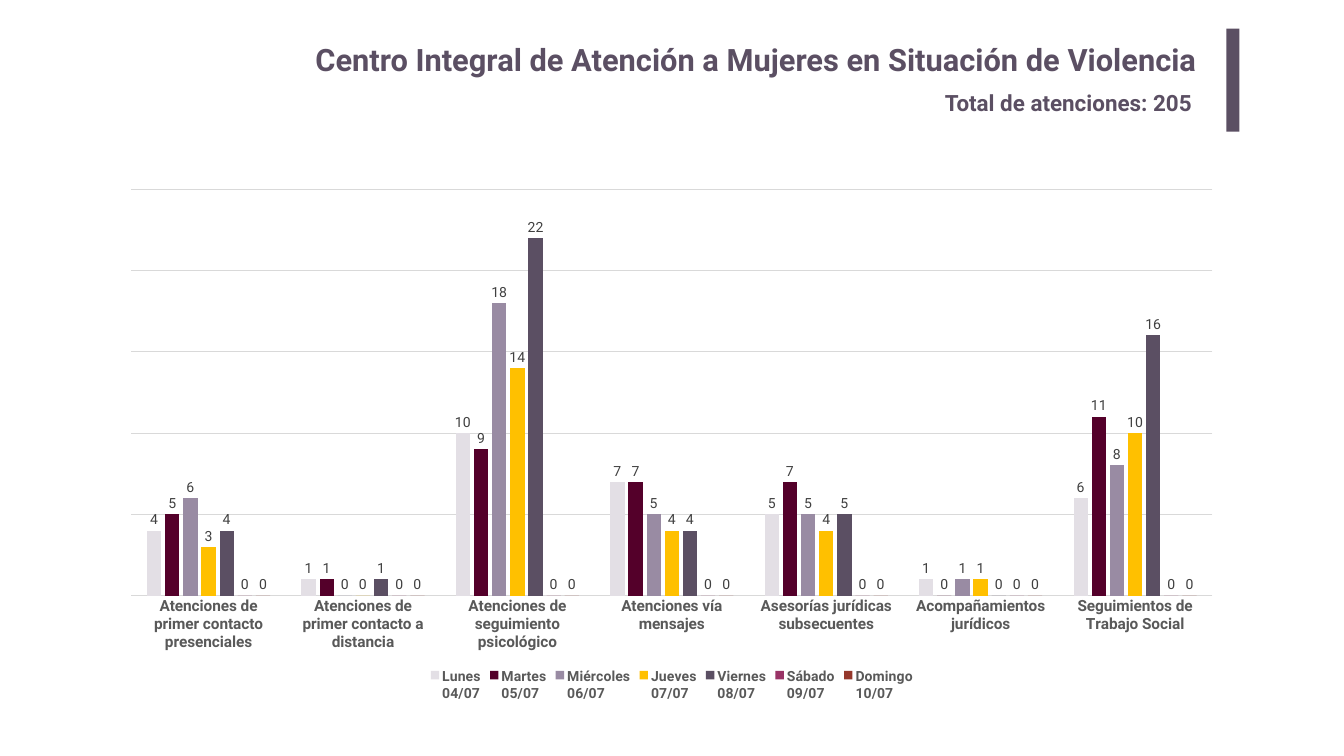
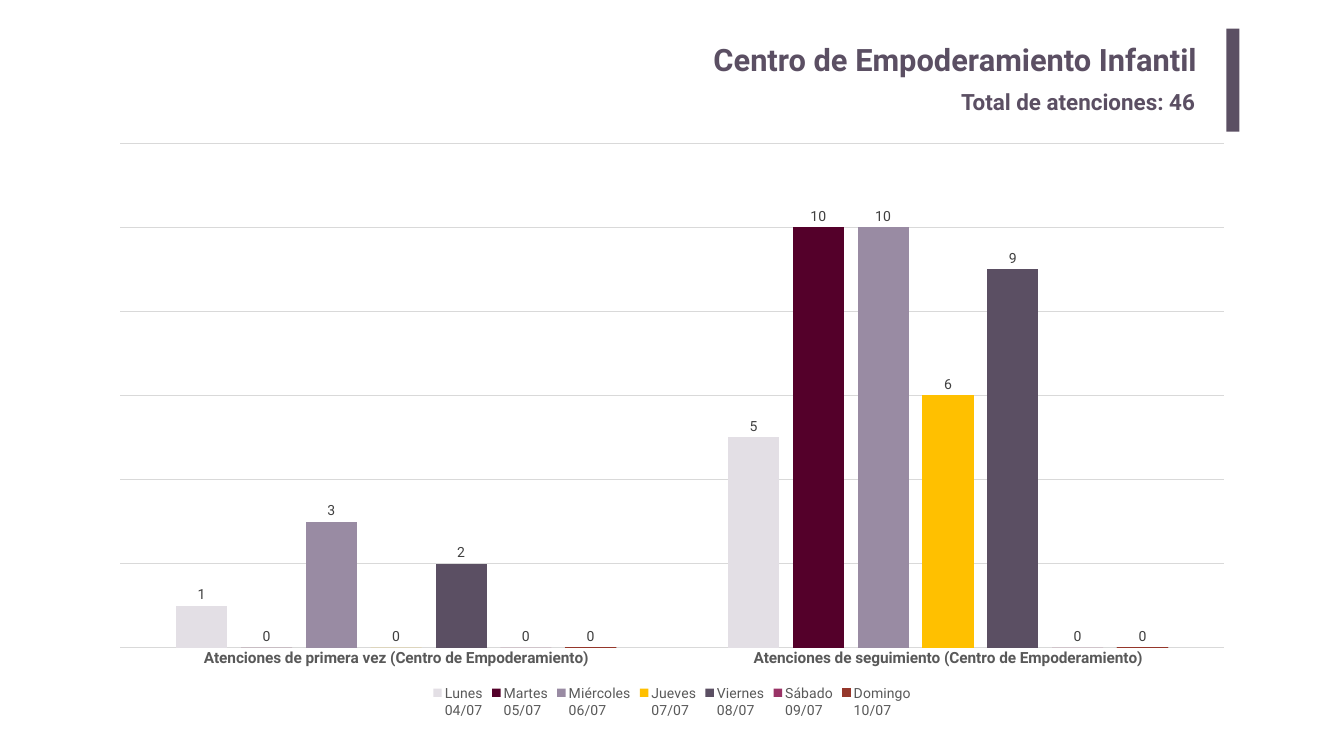
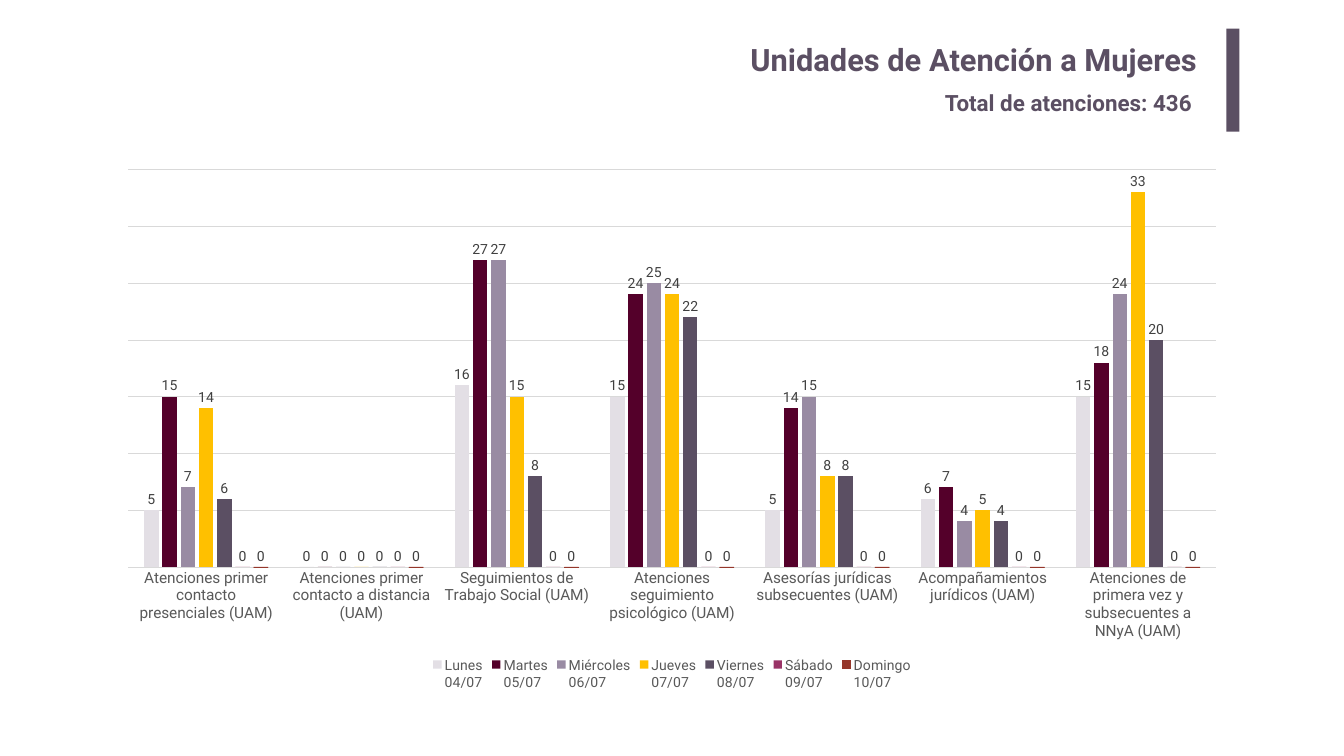
import pptx
import pptx.chart.data
import pptx.dml.color
import pptx.enum.chart
import pptx.enum.shapes
import pptx.enum.text
import pptx.util

Pt = pptx.util.Pt
RGBColor = pptx.dml.color.RGBColor

FONT = "Roboto"
PURPLE = RGBColor(0x5B, 0x4F, 0x63)
LILAC = RGBColor(0xE3, 0xDF, 0xE5)
WINE = RGBColor(0x54, 0x00, 0x2A)
MAUVE = RGBColor(0x99, 0x8B, 0xA3)
GOLD = RGBColor(0xFF, 0xC0, 0x00)
MAGENTA = RGBColor(0x99, 0x33, 0x66)
BRICK = RGBColor(0x95, 0x37, 0x2B)
AXIS_GRAY = RGBColor(0x59, 0x59, 0x59)
LABEL_GRAY = RGBColor(0x40, 0x40, 0x40)
GRID_GRAY = RGBColor(0xD9, 0xD9, 0xD9)
WHITE = RGBColor(0xFF, 0xFF, 0xFF)
BLACK = RGBColor(0, 0, 0)

DAYS = [
    ("Lunes\n04/07", LILAC),
    ("Martes\n05/07", WINE),
    ("Miércoles\n06/07", MAUVE),
    ("Jueves\n07/07", GOLD),
    ("Viernes\n08/07", PURPLE),
    ("Sábado\n09/07", MAGENTA),
    ("Domingo\n10/07", BRICK),
]
HEADING_BOX = (263.5, 41, 1507, 147)

REPORTS = [
    {
        "title": "Centro Integral de Atención a Mujeres en Situación de Violencia",
        "total": 205,
        "total_box": (1079.3, 82.1, 382.3, 46.8),
        "chart_box": (155.5, 254.9, 1608.5, 751.7),
        "scale": (25, 5),
        "bold_categories": True,
        "bold_legend": True,
        "outline_sunday": False,
        "services": {
            "Atenciones de primer contacto presenciales": (4, 5, 6, 3, 4, 0, 0),
            "Atenciones de primer contacto a distancia": (1, 1, 0, 0, 1, 0, 0),
            "Atenciones de seguimiento psicológico": (10, 9, 18, 14, 22, 0, 0),
            "Atenciones vía mensajes": (7, 7, 5, 4, 4, 0, 0),
            "Asesorías jurídicas subsecuentes": (5, 7, 5, 4, 5, 0, 0),
            "Acompañamientos jurídicos": (1, 0, 1, 1, 0, 0, 0),
            "Seguimientos de Trabajo Social": (6, 11, 8, 10, 16, 0, 0),
        },
    },
    {
        "title": "Centro de Empoderamiento Infantil",
        "total": 46,
        "total_box": (1102.3, 80.7, 363.6, 46.1),
        "chart_box": (139, 187.9, 1642.3, 843.8),
        "scale": (12, 2),
        "bold_categories": True,
        "bold_legend": False,
        "outline_sunday": True,
        "services": {
            "Atenciones de primera vez (Centro de Empoderamiento)": (1, 0, 3, 0, 2, 0, 0),
            "Atenciones de seguimiento (Centro de Empoderamiento)": (5, 10, 10, 6, 9, 0, 0),
        },
    },
    {
        "title": "Unidades de Atención a Mujeres",
        "total": 436,
        "total_box": (1079.3, 82.1, 382.3, 46.8),
        "chart_box": (151.2, 226.8, 1617.8, 764.6),
        "scale": (35, 5),
        "bold_categories": False,
        "bold_legend": False,
        "outline_sunday": True,
        "services": {
            "Atenciones primer contacto presenciales (UAM)": (5, 15, 7, 14, 6, 0, 0),
            "Atenciones primer contacto a distancia (UAM)": (0, 0, 0, 0, 0, 0, 0),
            "Seguimientos de Trabajo Social (UAM)": (16, 27, 27, 15, 8, 0, 0),
            "Atenciones seguimiento psicológico (UAM)": (15, 24, 25, 24, 22, 0, 0),
            "Asesorías jurídicas subsecuentes (UAM)": (5, 14, 15, 8, 8, 0, 0),
            "Acompañamientos jurídicos (UAM)": (6, 7, 4, 5, 4, 0, 0),
            "Atenciones de primera vez y subsecuentes a NNyA (UAM)": (15, 18, 24, 33, 20, 0, 0),
        },
    },
]


def style_font(font, size, color, bold=False):
    """Apply the shared typeface with a size, colour and weight."""
    font.name = FONT
    font.size = Pt(size)
    font.bold = bold
    font.color.rgb = color


def add_line_of_text(slide, box, text, size, inset):
    """Place one bold purple line of text and return its frame."""
    frame = slide.shapes.add_textbox(*map(Pt, box)).text_frame
    frame.word_wrap = True
    frame.margin_left = frame.margin_right = Pt(inset)
    frame.margin_top = frame.margin_bottom = Pt(inset / 2)
    run = frame.paragraphs[0].add_run()
    run.text = text
    style_font(run.font, size, PURPLE, True)
    return frame


def add_heading(slide, box, report):
    """Place the title, the accent bar and the total inside the box."""
    left, top, width, height = box
    title = add_line_of_text(
        slide, (left, top + 7.2, 1461.6, 73.4), report["title"], 44, 14.4)
    title.vertical_anchor = pptx.enum.text.MSO_ANCHOR.MIDDLE
    title.paragraphs[0].alignment = pptx.enum.text.PP_ALIGN.RIGHT

    bar_width = 18.7
    accent_bar = slide.shapes.add_shape(
        pptx.enum.shapes.MSO_SHAPE.RECTANGLE,
        Pt(left + width - bar_width), Pt(top), Pt(bar_width), Pt(height))
    accent_bar.shadow.inherit = False
    accent_bar.fill.solid()
    accent_bar.fill.fore_color.rgb = PURPLE
    accent_bar.line.fill.background()

    x, y, total_width, total_height = report["total_box"]
    total = add_line_of_text(
        slide, (left + x, top + y, total_width, total_height),
        f"Total de atenciones: {report['total']}", 32, 7.2)
    total.auto_size = pptx.enum.text.MSO_AUTO_SIZE.SHAPE_TO_FIT_TEXT


def style_axes(chart, report):
    """Style the services axis and the gridlines of the hidden counts axis."""
    services = chart.category_axis
    services.major_tick_mark = services.minor_tick_mark = pptx.enum.chart.XL_TICK_MARK.NONE
    style_font(services.tick_labels.font, 22, AXIS_GRAY, report["bold_categories"])
    counts = chart.value_axis
    counts.visible = False
    counts.minimum_scale = 0
    counts.maximum_scale, counts.major_unit = report["scale"]
    counts.has_major_gridlines = True
    for line in (services.format.line, counts.major_gridlines.format.line):
        line.color.rgb = GRID_GRAY
        line.width = Pt(0.75)


def style_days(plot, report):
    """Colour the bars of each day and label them with their counts."""
    plot.gap_width = 219
    plot.overlap = -27
    plot.vary_by_categories = False
    for day, (_, color) in zip(plot.series, DAYS):
        day.invert_if_negative = False
        day.format.fill.solid()
        day.format.fill.fore_color.rgb = color
        day.format.line.fill.background()
        labels = day.data_labels
        labels.show_value = True
        labels.position = pptx.enum.chart.XL_LABEL_POSITION.OUTSIDE_END
        style_font(labels.font, 20, LABEL_GRAY)
    if report["outline_sunday"]:
        sunday = plot.series[len(DAYS) - 1]
        sunday.format.line.color.rgb = BRICK
        sunday.format.line.width = Pt(0.75)


def add_daily_chart(slide, box, report):
    """Place the chart of daily counts per service in the box."""
    data = pptx.chart.data.CategoryChartData(number_format="General")
    data.categories = list(report["services"])
    for (day, _), counts in zip(DAYS, zip(*report["services"].values())):
        data.add_series(day, counts)
    chart = slide.shapes.add_chart(
        pptx.enum.chart.XL_CHART_TYPE.COLUMN_CLUSTERED, *map(Pt, box), data).chart
    style_font(chart.font, 10, BLACK)
    chart.has_title = False
    chart.has_legend = True
    chart.legend.position = pptx.enum.chart.XL_LEGEND_POSITION.BOTTOM
    chart.legend.include_in_layout = False
    style_font(chart.legend.font, 20, AXIS_GRAY, report["bold_legend"])
    style_axes(chart, report)
    style_days(chart.plots[0], report)


def add_report_slide(deck, report):
    """Add one slide with its heading and its daily chart."""
    slide = deck.slides.add_slide(deck.slide_layouts[6])
    slide.background.fill.solid()
    slide.background.fill.fore_color.rgb = WHITE
    add_heading(slide, HEADING_BOX, report)
    add_daily_chart(slide, report["chart_box"], report)


def main():
    """Build the weekly report and save it."""
    deck = pptx.Presentation()
    deck.slide_width = Pt(1920)
    deck.slide_height = Pt(1080)
    for report in REPORTS:
        add_report_slide(deck, report)
    deck.save("out.pptx")


if __name__ == "__main__":
    main()
